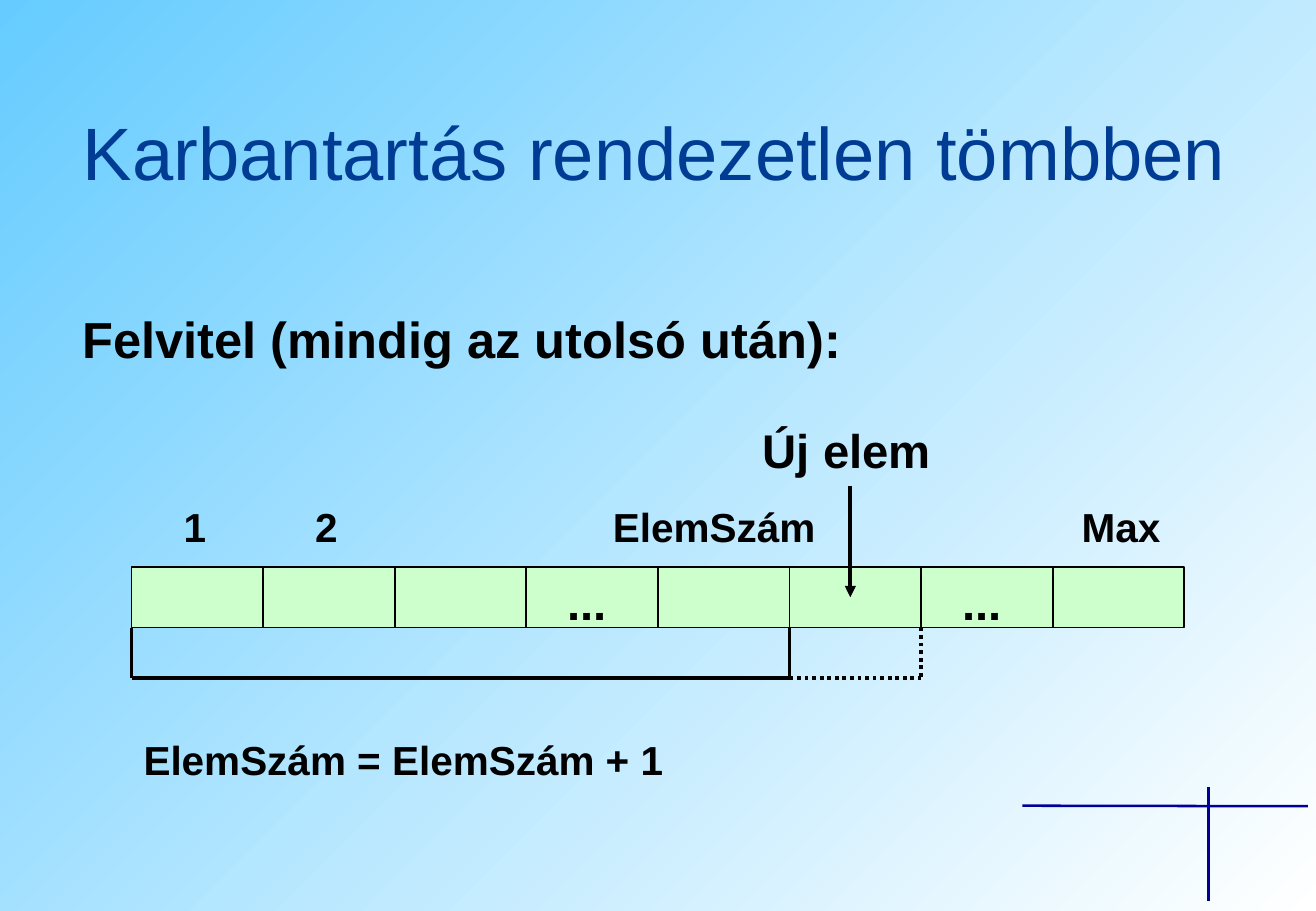
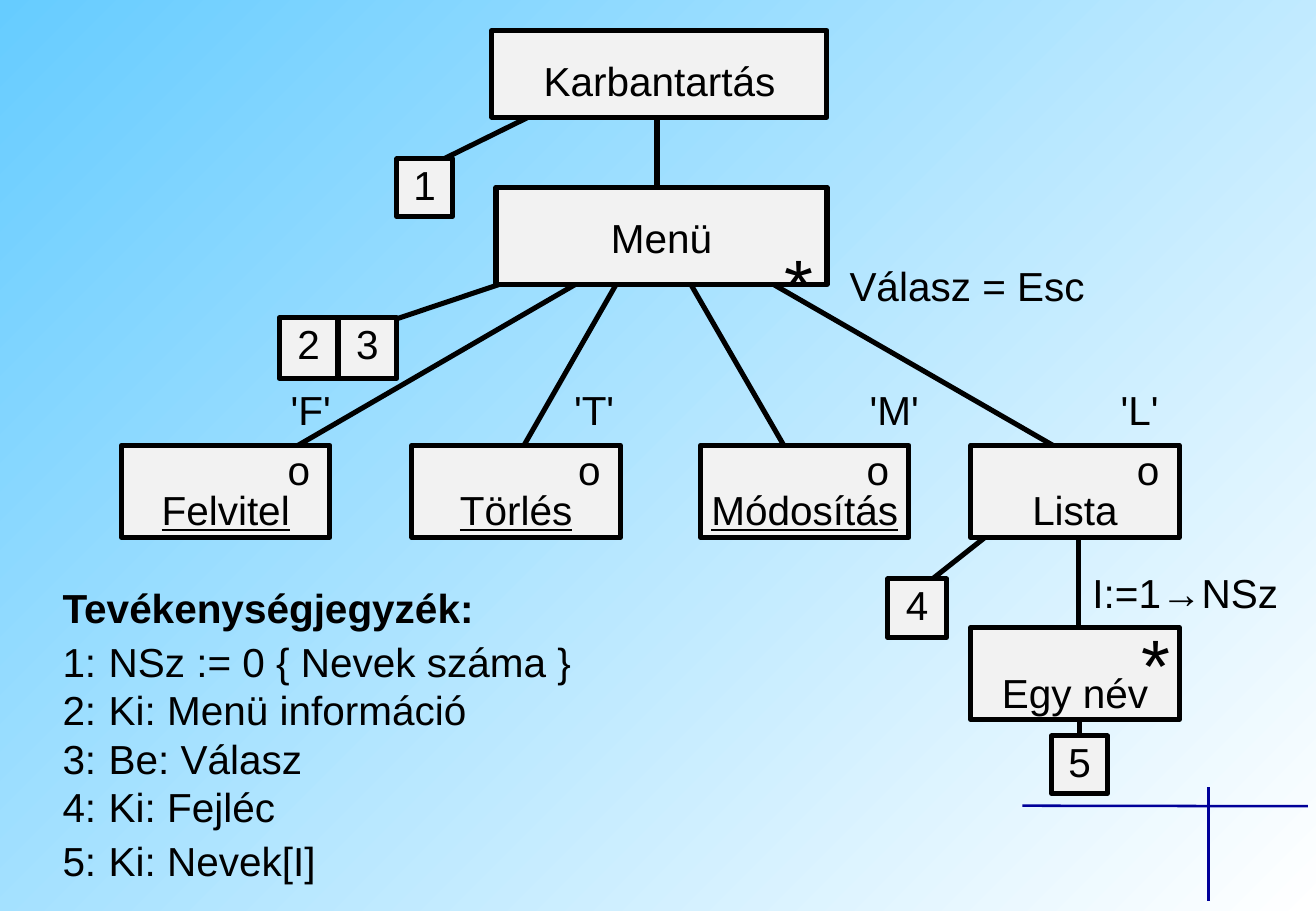
from dataclasses import dataclass

from lxml import etree
from pptx import Presentation
from pptx.dml.color import RGBColor
from pptx.enum.dml import MSO_LINE
from pptx.enum.shapes import MSO_CONNECTOR, MSO_SHAPE
from pptx.enum.text import MSO_ANCHOR, PP_ALIGN
from pptx.oxml.ns import qn
from pptx.util import Inches, Pt

LEFT, CENTER = PP_ALIGN.LEFT, PP_ALIGN.CENTER
TOP = MSO_ANCHOR.TOP
RECTANGLE = MSO_SHAPE.RECTANGLE
STRAIGHT = MSO_CONNECTOR.STRAIGHT
DOTTED = MSO_LINE.ROUND_DOT
COLUMNS, ROWS = 130, 90
UNIT = Inches(1) / 12


@dataclass(frozen=True)
class Theme:
    """Colours, font, type sizes and line widths of the deck."""

    font: str = "Arial"
    ink: str = "000000"
    title: str = "003C94"
    cross: str = "000099"
    cell: str = "CCFFCC"
    node: str = "F2F2F2"
    sky: tuple = ("FFFFFF", "66CCFF")
    title_size: int = 44
    heading_size: int = 30
    label_size: int = 28
    body_size: int = 24
    thin: float = 1
    cross_width: float = 1.5
    bracket: float = 2.25
    branch: float = 3
    wide_inset: tuple = (0.1, 0.05)
    tight_inset: tuple = (0.01, 0.01)


THEME = Theme()


@dataclass(frozen=True)
class Box:
    """A rectangle in grid columns and rows."""

    x: float
    y: float
    w: float
    h: float

    def inner(self, x, y, w, h):
        """Return a box placed relative to this one."""
        return Box(self.x + x, self.y + y, w, h)

    def lengths(self):
        """Return the rectangle in slide lengths."""
        return [grid(value) for value in (self.x, self.y, self.w, self.h)]


def grid(value):
    """Turn grid steps into a slide length."""
    return round(value * UNIT)


def color(code):
    """Turn a hex code into a colour."""
    return RGBColor.from_string(code)


def write(frame, text, size=THEME.body_size, ink=THEME.ink, bold=False,
          underline=False, align=LEFT, inset=THEME.wide_inset, spacing=None,
          hang=0, before=0, first=True):
    """Add one formatted paragraph to a text frame."""
    if first:
        frame.word_wrap = True
        frame.vertical_anchor = TOP
        frame.margin_left = frame.margin_right = Inches(inset[0])
        frame.margin_top = frame.margin_bottom = Inches(inset[1])
    para = frame.paragraphs[0] if first else frame.add_paragraph()
    para.alignment = align
    if spacing:
        para.line_spacing = spacing
    if before:
        para.space_before = Pt(before)
    if hang:
        properties = para._p.get_or_add_pPr()
        properties.set("marL", str(Inches(hang)))
        properties.set("indent", str(-Inches(hang)))
    span = para.add_run()
    span.text = text
    span.font.name = THEME.font
    span.font.size = Pt(size)
    span.font.bold = bold
    span.font.underline = underline
    span.font.color.rgb = color(ink)


def add_text(page, box, text, **style):
    """Place a text box."""
    write(page.shapes.add_textbox(*box.lengths()).text_frame, text, **style)


def add_rectangle(page, box, fill, width):
    """Place an outlined rectangle and return it."""
    shape = page.shapes.add_shape(RECTANGLE, *box.lengths())
    shape.shadow.inherit = False
    shape.fill.solid()
    shape.fill.fore_color.rgb = color(fill)
    shape.line.color.rgb = color(THEME.ink)
    shape.line.width = Pt(width)
    return shape


def add_node(page, box, text, **style):
    """Place a captioned box of the structure chart."""
    shape = add_rectangle(page, box, THEME.node, THEME.branch)
    write(shape.text_frame, text, align=CENTER, inset=THEME.tight_inset, **style)


def add_line(page, box, start, end, ink=THEME.ink, width=THEME.branch,
             dash=None, arrow=False):
    """Draw a line between two points of a box."""
    points = [grid(value) for x, y in (start, end)
              for value in (box.x + x, box.y + y)]
    line = page.shapes.add_connector(STRAIGHT, *points)
    line.line.color.rgb = color(ink)
    line.line.width = Pt(width)
    if dash:
        line.line.dash_style = dash
    properties = line._element.spPr
    if arrow:
        etree.SubElement(properties.find(qn("a:ln")), qn("a:tailEnd"), type="triangle")
    etree.SubElement(properties, qn("a:effectLst"))


def set_background(master):
    """Give the master its diagonal gradient."""
    fill = master.background.fill
    fill.gradient()
    fill.gradient_angle = 135
    for stop, code, position in zip(fill.gradient_stops, THEME.sky, (0, 1)):
        stop.color.rgb = color(code)
        stop.position = position


def add_page(deck):
    """Add a blank page with the corner cross."""
    page = deck.slides.add_slide(deck.slide_layouts[6])
    corner = Box(101, 77.8, 28.2, 11.2)
    for start, end in (((0, 1.8), (28.2, 1.85)), ((18.4, 0), (18.4, 11.2))):
        add_line(page, corner, start, end, THEME.cross, THEME.cross_width)
    return page


def array_diagram(page, box):
    """Draw the array, its labels, brackets and the new element."""
    count, filled, gap = 8, 5, 5
    step = box.w / count
    for index in range(count):
        cell = box.inner(index * step, 0, step, box.h)
        add_rectangle(page, cell, THEME.cell, THEME.thin)
    style = {"bold": True, "align": CENTER}
    for index in (3, 6):
        add_text(page, box.inner(index * step, 0, step - 1, 6.8), "...",
                 size=THEME.label_size, **style)
    for x, width, label in ((0.5, 11.5, "1"), (13.5, 11.5, "2"),
                            (45.9, 23.3, "ElemSzám"), (92, 11.5, "Max")):
        add_text(page, box.inner(x, -7, width, box.h), label, **style)
    add_text(page, box.inner(59, -15, 23.3, 6.8), "Új elem",
             size=THEME.label_size, **style)
    edge, after = filled * step, (filled + 1) * step
    bottom = box.h + gap
    for start, end, dash in (((0, box.h), (0, bottom), None),
                             ((edge, box.h), (edge, bottom), None),
                             ((0, bottom), (edge, bottom), None),
                             ((after, box.h), (after, bottom), DOTTED),
                             ((edge, bottom), (after, bottom), DOTTED)):
        add_line(page, box, start, end, width=THEME.bracket, dash=dash)
    add_line(page, box, (71, -8), (71, 3), width=THEME.bracket, arrow=True)


def structure_lines(page, box):
    """Draw the branches of the structure chart."""
    for start, end in (((64.9, 10), (64.9, 22)), ((55.8, 9.8), (41.6, 16.8)),
                       ((53.8, 26.6), (36.2, 32.5)), ((60.8, 25.8), (25.3, 46.4)),
                       ((62.3, 25.6), (50.5, 46.2)), ((66.8, 25.6), (78.7, 46.2)),
                       ((73.8, 26.6), (106.1, 45.2)), ((102.1, 49.3), (89.2, 59.5)),
                       ((106.5, 50.9), (106.5, 63.2)), ((106.6, 66), (106.6, 74.5))):
        add_line(page, box, start, end)


def structure_chart(page, box):
    """Draw the structure chart of the maintenance menu."""
    structure_lines(page, box)
    add_node(page, box.inner(48.6, 3, 33.1, 8.6), "Karbantartás", spacing=1.5)
    add_node(page, box.inner(49, 18.5, 32.7, 9.6), "Menü", spacing=1.5)
    for x, y, width, height, number in ((39.2, 15.7, 5.5, 5.7, "1"),
                                        (27.6, 31.4, 5.8, 6, "2"),
                                        (33.4, 31.4, 5.8, 6, "3"),
                                        (87.7, 57.2, 5.8, 5.8, "4"),
                                        (103.9, 72.7, 5.5, 5.7, "5")):
        add_node(page, box.inner(x, y, width, height), number)
    tight = {"inset": THEME.tight_inset}
    for x, key_x, name, key in ((12, 28.6, "Felvitel", "'F'"),
                                (40.7, 56.6, "Törlés", "'T'"),
                                (69.2, 85.8, "Módosítás", "'M'"),
                                (95.9, 110.6, "Lista", "'L'")):
        add_node(page, box.inner(x, 44, 20.6, 9.1), name, spacing=1.8,
                 underline=name != "Lista")
        add_text(page, box.inner(x + 16.3, 43.8, 4.4, 4.7), "o", **tight)
        add_text(page, box.inner(key_x, 37.9, 6, 6.4), key, **tight)
    add_node(page, box.inner(95.9, 62, 20.6, 9.1), "Egy név", spacing=1.8)
    for x, y in ((77.4, 23.4), (112.6, 61)):
        add_text(page, box.inner(x, y, 4.4, 4.7), "*", size=THEME.title_size, **tight)
    add_text(page, box.inner(83.8, 25.7, 29.2, 6.4), "Válasz = Esc", **tight)
    add_text(page, box.inner(107.8, 56, 22.2, 5.5), "I:=1→NSz", **tight)


def activity_list(page, box):
    """Write the numbered list of activities."""
    frame = page.shapes.add_textbox(*box.lengths()).text_frame
    write(frame, "Tevékenységjegyzék:", bold=True)
    for text, before in (("1:\tNSz := 0 { Nevek száma }", 3),
                         ("2:\tKi: Menü információ", 0),
                         ("3:\tBe: Válasz", 0),
                         ("4:\tKi: Fejléc", 0),
                         ("5:\tKi: Nevek[I]", 3)):
        write(frame, text, hang=0.38, before=before, first=False)


def insertion_page(deck):
    """Build the page on adding to an unsorted array."""
    page = add_page(deck)
    add_text(page, Box(7, 9.9, 118, 10), "Karbantartás rendezetlen tömbben",
             size=THEME.title_size, ink=THEME.title)
    add_text(page, Box(7, 29.8, 85, 7.2), "Felvitel (mindig az utolsó után):",
             size=THEME.heading_size, bold=True)
    array_diagram(page, Box(13, 56, 104, 6))
    add_text(page, Box(13, 72, 66, 6), "ElemSzám = ElemSzám + 1", bold=True)


def structure_page(deck):
    """Build the page with the structure chart."""
    page = add_page(deck)
    structure_chart(page, Box(0, 0, COLUMNS, ROWS))
    activity_list(page, Box(5, 57, 65, 30))


def main():
    """Build and save the deck."""
    deck = Presentation()
    deck.slide_width, deck.slide_height = grid(COLUMNS), grid(ROWS)
    set_background(deck.slide_master)
    insertion_page(deck)
    structure_page(deck)
    deck.save("out.pptx")


if __name__ == "__main__":
    main()
